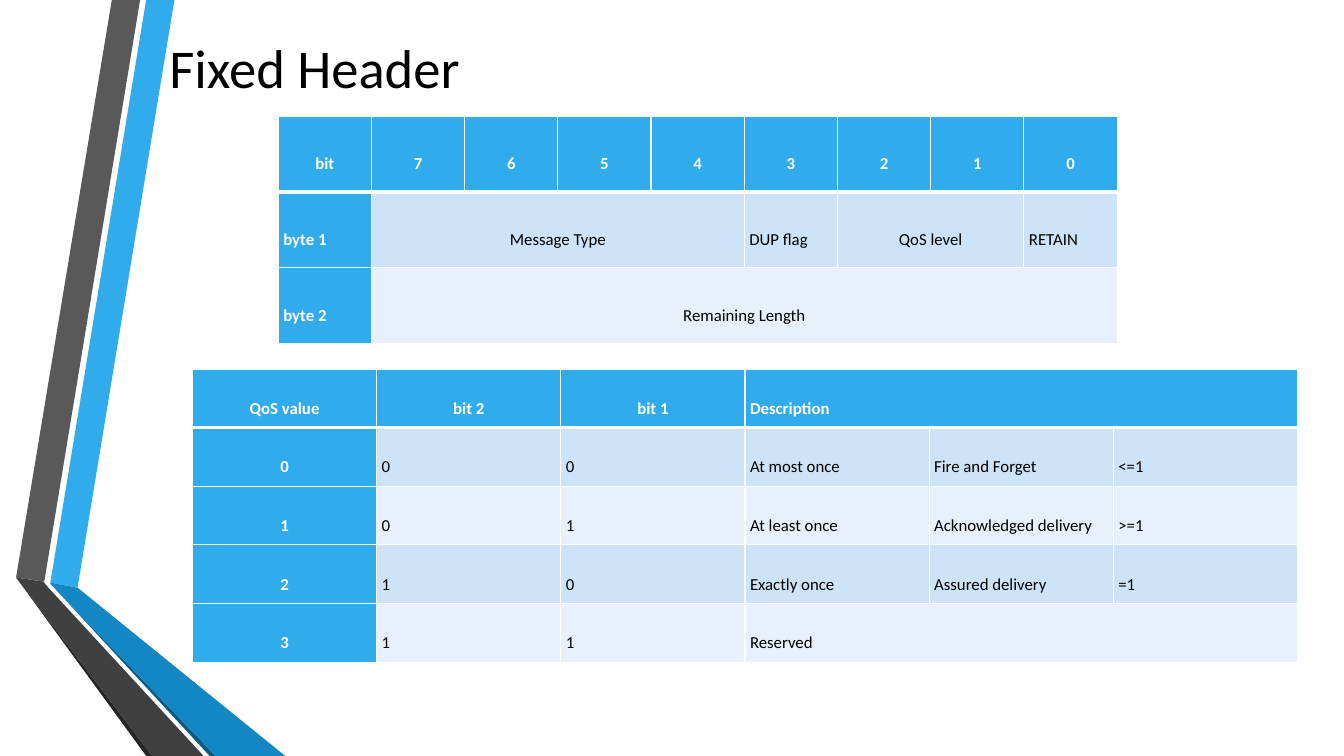
"""Build the Fixed Header slide: a ribbon, a title and two tables."""
from itertools import takewhile

from lxml import etree
from pptx import Presentation
from pptx.dml.color import RGBColor
from pptx.enum.text import MSO_ANCHOR, MSO_AUTO_SIZE, PP_ALIGN
from pptx.oxml.ns import qn
from pptx.util import Inches, Pt

LEFT, CENTER = PP_ALIGN.LEFT, PP_ALIGN.CENTER
TOP, MIDDLE = MSO_ANCHOR.TOP, MSO_ANCHOR.MIDDLE
NO_AUTOFIT = MSO_AUTO_SIZE.NONE

WHITE = RGBColor(0xFF, 0xFF, 0xFF)
BLACK = RGBColor(0x00, 0x00, 0x00)
BLUE = RGBColor(0x30, 0xAC, 0xEC)
MID_BLUE = RGBColor(0x12, 0x87, 0xC3)
DEEP_BLUE = RGBColor(0x0C, 0x5A, 0x82)
BAND_DARK = RGBColor(0xCD, 0xE3, 0xF8)
BAND_LIGHT = RGBColor(0xE8, 0xF1, 0xFB)
GRAY = RGBColor(0x59, 0x59, 0x59)
DARK_GRAY = RGBColor(0x40, 0x40, 0x40)
DEEP_GRAY = RGBColor(0x26, 0x26, 0x26)

GRID = Inches(0.1)
COLUMNS, ROWS = 133.3, 75

RIBBON = [
    (BLUE, [(5, 57.8), (7.7, 58.3), (17.3, 0), (14.5, 0)]),
    (GRAY, [(13.9, 0), (11.1, 0), (1.6, 57.3), (4.4, 57.7)]),
    (DEEP_GRAY, [(1.6, 57.3), (14.5, ROWS), (15.1, ROWS)]),
    (DEEP_BLUE, [(5, 57.9), (20.8, ROWS), (21.4, ROWS)]),
    (MID_BLUE, [(5, 57.9), (21.4, ROWS), (28.3, ROWS), (7.7, 58.3), (5, 57.8)]),
    (DARK_GRAY, [(20.2, ROWS), (4.8, 58.3), (4.3, 57.7), (1.6, 57.3), (15.1, ROWS)]),
]

HEADER_BYTES = [
    ["bit", "7", "6", "5", "4", "3", "2", "1", "0"],
    ["byte 1", "Message Type", None, None, None, "DUP flag", "QoS level", None, "RETAIN"],
    ["byte 2", "Remaining Length"] + [None] * 7,
]
QOS_LEVELS = [
    ["QoS value", "bit 2", "bit 1", "Description", None, None],
    ["0", "0", "0", "At most once", "Fire and Forget", "<=1"],
    ["1", "0", "1", "At least once", "Acknowledged delivery", ">=1"],
    ["2", "1", "0", "Exactly once", "Assured delivery", "=1"],
    ["3", "1", "1", "Reserved", None, None],
]


def grid(units):
    """Turn grid units into a length."""
    return round(units * GRID)


class SlideBuilder:
    """Hold the style and the current slide."""

    font_name = "Calibri"
    title_size, table_size = 39, 12
    cell_margin = Inches(0.05)

    def __init__(self, presentation):
        """Add a title-only slide."""
        self.slide = presentation.slides.add_slide(presentation.slide_layouts[5])

    def format_text(self, text_frame, size, color, bold, alignment, spacing):
        """Format every paragraph and run of a text frame."""
        for paragraph in text_frame.paragraphs:
            paragraph.alignment = alignment
            paragraph.line_spacing = spacing
            for run in paragraph.runs:
                run.font.name = self.font_name
                run.font.size = Pt(size)
                run.font.bold = bold
                run.font.color.rgb = color

    def title(self, text, left, top, width, height):
        """Place and format the title."""
        title = self.slide.shapes.title
        title.left, title.top = grid(left), grid(top)
        title.width, title.height = grid(width), grid(height)
        text_frame = title.text_frame
        text_frame.text = text
        text_frame.vertical_anchor = TOP
        text_frame.auto_size = NO_AUTOFIT
        self.format_text(text_frame, self.title_size, BLACK, False, LEFT, 1.0)

    def polygon(self, color, points):
        """Draw a filled outline without a line."""
        start, *others = [(grid(x), grid(y)) for x, y in points]
        builder = self.slide.shapes.build_freeform(*start)
        builder.add_line_segments(others, close=True)
        shape = builder.convert_to_shape()
        shape.shadow.inherit = False
        shape.fill.solid()
        shape.fill.fore_color.rgb = color
        shape.line.fill.background()

    def borders(self, cell, bottom_width):
        """Give a cell white borders."""
        properties = cell._tc.get_or_add_tcPr()
        widths = {"a:lnL": 1, "a:lnR": 1, "a:lnT": 1, "a:lnB": bottom_width}
        for tag, width in widths.items():
            line = etree.SubElement(properties, qn(tag), w=str(Pt(width)))
            fill = etree.SubElement(line, qn("a:solidFill"))
            etree.SubElement(fill, qn("a:srgbClr"), val=str(WHITE))

    def table(self, texts, left, top, width, height, is_centered):
        """Add a table in which None extends the cell on its left."""
        table = self.slide.shapes.add_table(
            len(texts), len(texts[0]), grid(left), grid(top), grid(width), grid(height)
        ).table
        table.horz_banding = False
        for row, row_texts in enumerate(texts):
            for column, text in enumerate(row_texts):
                cell = table.cell(row, column)
                is_header = row == 0 or column == 0
                self.borders(cell, 3 if row == 0 else 1)
                cell.fill.solid()
                band = BAND_DARK if row % 2 else BAND_LIGHT
                cell.fill.fore_color.rgb = BLUE if is_header else band
                if text is None:
                    continue
                followers = row_texts[column + 1:]
                span = 1 + len(list(takewhile(lambda follower: follower is None, followers)))
                if span > 1:
                    cell.merge(table.cell(row, column + span - 1))
                cell.text_frame.text = text
                cell.vertical_anchor = MIDDLE
                cell.margin_left = cell.margin_right = self.cell_margin
                cell.margin_top = cell.margin_bottom = self.cell_margin
                self.format_text(
                    cell.text_frame, self.table_size, WHITE if is_header else BLACK, is_header,
                    CENTER if is_centered(row, column, span) else LEFT, 2.0,
                )


presentation = Presentation()
presentation.slide_width = grid(COLUMNS)
presentation.slide_height = grid(ROWS)

builder = SlideBuilder(presentation)
for color, points in RIBBON:
    builder.polygon(color, points)
builder.title("Fixed Header", 15.8, 2.9, 100, 26.1)
builder.table(
    HEADER_BYTES, 27.6, 11.5, 83.2, 22.6,
    lambda row, column, span: row == 0 or span > 1,
)
builder.table(
    QOS_LEVELS, 19.1, 36.6, 109.6, 29.1,
    lambda row, column, span: column == 0 or (row == 0 and span == 1),
)

presentation.save("out.pptx")
